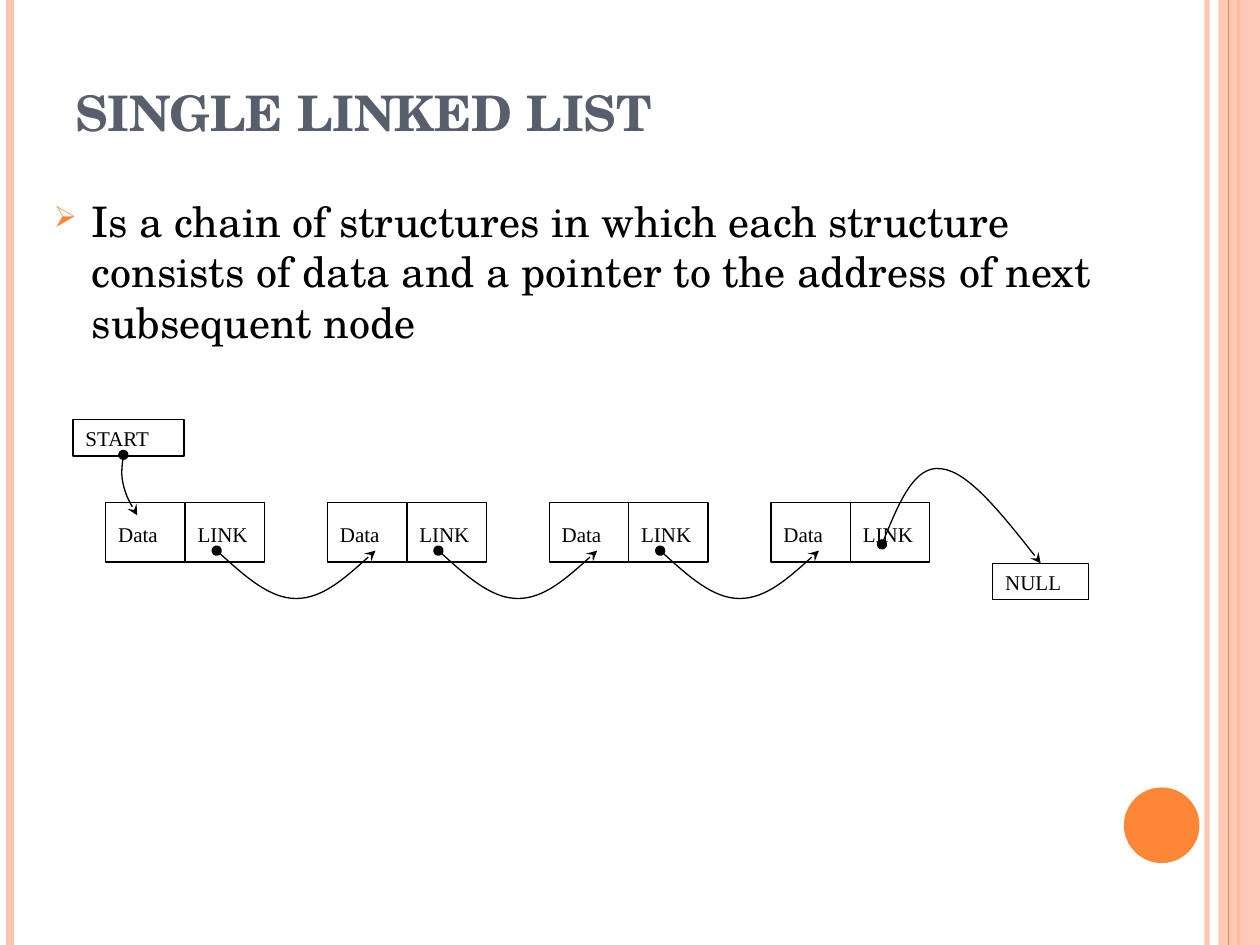
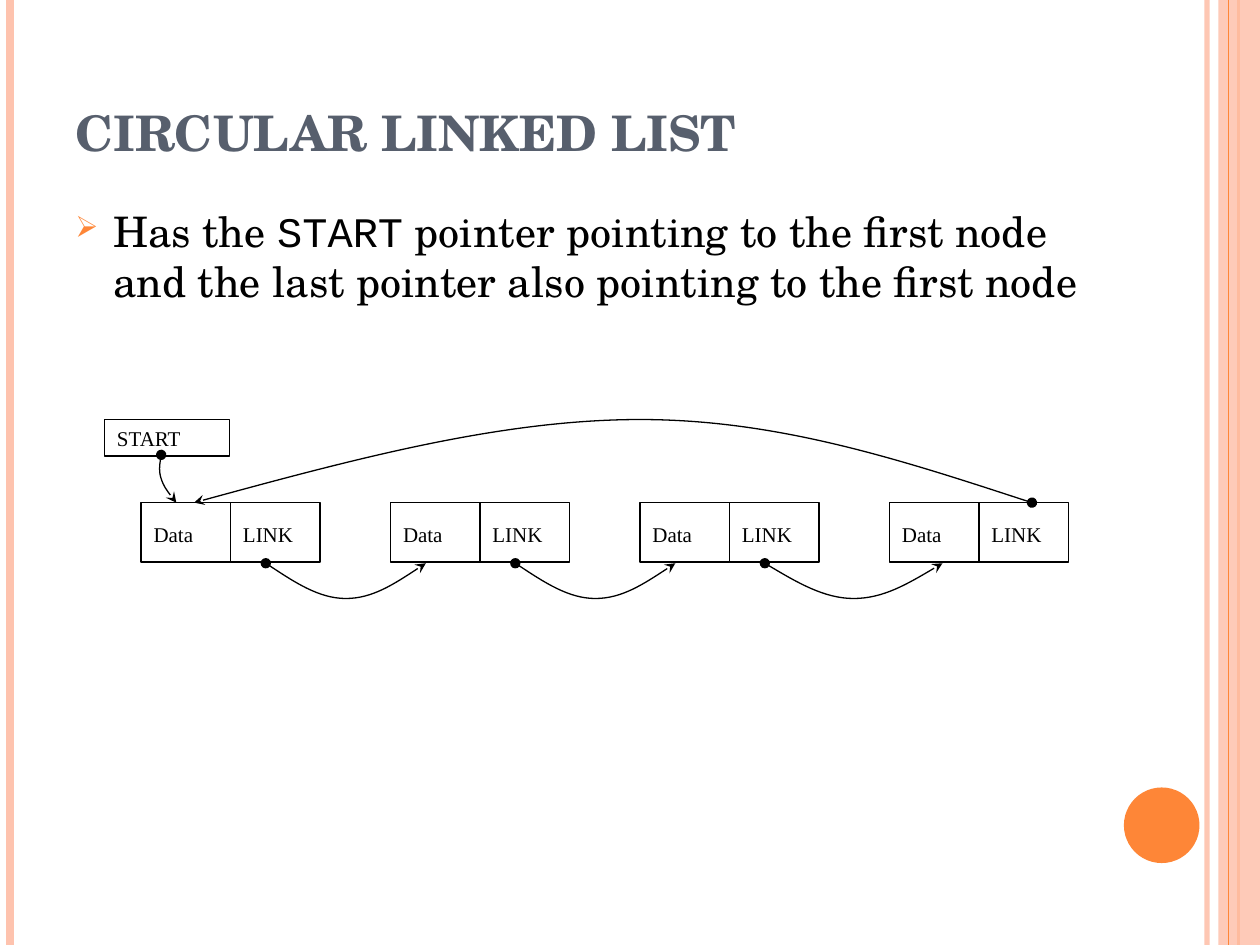
from lxml import etree
from pptx import Presentation
from pptx.dml.color import RGBColor
from pptx.enum.shapes import MSO_CONNECTOR, MSO_SHAPE
from pptx.enum.text import MSO_ANCHOR, PP_ALIGN
from pptx.oxml.ns import qn
from pptx.util import Inches, Pt

ORANGE = RGBColor(0xFE, 0x86, 0x37)
PEACH = RGBColor(0xFE, 0xC3, 0xAE)
SLATE = RGBColor(0x57, 0x5F, 0x6D)
BLACK = RGBColor(0, 0, 0)
WHITE = RGBColor(0xFF, 0xFF, 0xFF)
SERIF = "TeX Gyre Schola"
CODE = "Courier New"
LABEL = "Times New Roman"

# Boxes are left, top, width, height in inches; curves list a start point
# followed by three cubic Bézier points for each segment.
SLIDES = [
    {
        "title": "SINGLE LINKED LIST",
        "title_box": (0.5, 0.3, 8.17, 0.87),
        "body": [("Is a chain of structures in which each structure consists of data "
                  "and a pointer to the address of next subsequent node", SERIF)],
        "body_box": (0.33, 1.5, 8.83, 5.58),
        "first_left": 0.84, "cell_width": 0.63, "pitch": 1.76, "label_width": 0.76,
        "link_offset": 0.88, "link_top": 4.37, "link_spans": (1.26, 1.26, 1.26),
        "end_boxes": [("START", (0.58, 3.33, 0.88, 0.29)),
                      ("NULL", (7.88, 4.47, 0.76, 0.29))],
        "curves": [
            [(0.98, 3.61), (0.97, 3.69), (0.96, 3.77), (0.98, 3.85),
             (1, 3.93), (1.04, 4.01), (1.09, 4.09)],
            [(7, 4.32), (7.13, 4), (7.26, 3.69), (7.47, 3.72),
             (7.68, 3.74), (7.97, 4.1), (8.26, 4.47)],
        ],
    },
    {
        "title": "CIRCULAR LINKED LIST",
        "title_box": (0.5, 0.3, 8.17, 1.03),
        "body": [("Has the ", SERIF), ("START", CODE),
                 (" pointer pointing to the first node and the last pointer "
                  "also pointing to the first node", SERIF)],
        "body_box": (0.5, 1.58, 8.58, 5.5),
        "first_left": 1.12, "cell_width": 0.71, "pitch": 1.98, "label_width": 0.85,
        "link_offset": 0.99, "link_top": 4.47, "link_spans": (1.27, 1.27, 1.41),
        "end_boxes": [("START", (0.83, 3.33, 0.99, 0.29))],
        "curves": [
            [(1.28, 3.61), (1.27, 3.67), (1.26, 3.74), (1.28, 3.8),
             (1.3, 3.86), (1.35, 3.93), (1.4, 3.99)],
            [(8.19, 3.99), (7.18, 3.66), (6.18, 3.33), (5.08, 3.33),
             (3.97, 3.33), (2.75, 3.66), (1.54, 3.99)],
        ],
    },
]
NODE_COUNT = 4
CELL_LABELS = ("Data", "LINK")
CELL_TOP, CELL_HEIGHT = 3.99, 0.47
LABEL_TOP, LABEL_HEIGHT = 4.09, 0.29
LINK_BOTTOM = 4.75

# x, colour, width in points, opacity in percent
STRIPES_BELOW = [(9.58, PEACH, 3, 93), (0.08, PEACH, 4.5, 100), (9.83, ORANGE, 1.5, 100)]
STRIPES_ABOVE = [(9.75, ORANGE, 0.75, 100)]
BAND_BOX = (9.67, 0, 0.33, 7.5)
DISC_BOX = (8.92, 6.25, 0.6, 0.6)


def inches(values):
    return [Inches(value) for value in values]


def set_opacity(shape, percent):
    """Apply opacity to the first solid colour of the shape."""
    color = next(shape.element.spPr.iter(qn("a:srgbClr")))
    etree.SubElement(color, qn("a:alpha"), val=str(percent * 1000))


def add_stripe(slide, x, color, width, opacity):
    stripe = slide.shapes.add_connector(
        MSO_CONNECTOR.STRAIGHT, *inches((x, 0, x, 7.5)))
    stripe.line.color.rgb = color
    stripe.line.width = Pt(width)
    if opacity < 100:
        set_opacity(stripe, opacity)
    etree.SubElement(stripe.element.spPr, qn("a:effectLst"))


def add_block(slide, box, color, kind=MSO_SHAPE.RECTANGLE, outlined=False, opacity=100):
    block = slide.shapes.add_shape(kind, *inches(box))
    block.shadow.inherit = False
    block.fill.solid()
    block.fill.fore_color.rgb = color
    if opacity < 100:
        set_opacity(block, opacity)
    if outlined:
        block.line.color.rgb = BLACK
        block.line.width = Pt(0.75)
    else:
        block.line.fill.background()
    return block


def write(shape, runs, size, color, bold=False, anchor=MSO_ANCHOR.TOP):
    """Fill the shape with one paragraph of (text, font name) runs."""
    frame = shape.text_frame
    frame.word_wrap = True
    frame.vertical_anchor = anchor
    paragraph = frame.paragraphs[0]
    paragraph.alignment = PP_ALIGN.LEFT
    paragraph.font.size = Pt(size)
    paragraph.font.bold = bold
    paragraph.font.color.rgb = color
    for text, font_name in runs:
        run = paragraph.add_run()
        run.text = text
        run.font.name = font_name
    return paragraph


def add_text(slide, box, *args, **options):
    return write(slide.shapes.add_textbox(*inches(box)), *args, **options)


def add_bullet(paragraph):
    paragraph.space_before = Pt(6)
    properties = paragraph._p.get_or_add_pPr()
    properties.set("marL", str(Inches(0.3)))
    properties.set("indent", str(-Inches(0.3)))
    markup = [etree.Element(qn("a:buClr")),
              etree.Element(qn("a:buSzPct"), val="70000"),
              etree.Element(qn("a:buChar"), char="➢")]
    etree.SubElement(markup[0], qn("a:srgbClr"), val=str(ORANGE))
    properties.find(qn("a:spcBef")).addnext(markup[0])
    markup[0].addnext(markup[1])
    markup[1].addnext(markup[2])


def add_curve(slide, points):
    """Draw a Bézier arrow: a dot at its start, a stealth head at its end."""
    start, *others = [inches(point) for point in points]
    builder = slide.shapes.build_freeform(*start)
    builder.add_line_segments(others, close=False)
    curve = builder.convert_to_shape()
    segments = list(curve.element.iter(qn("a:lnTo")))
    for first in range(0, len(segments), 3):
        bezier = etree.Element(qn("a:cubicBezTo"))
        segments[first].addprevious(bezier)
        for segment in segments[first:first + 3]:
            bezier.append(segment[0])
            segment.getparent().remove(segment)
    curve.shadow.inherit = False
    curve.fill.background()
    curve.line.color.rgb = BLACK
    curve.line.width = Pt(0.75)
    line = curve.line._get_or_add_ln()
    etree.SubElement(line, qn("a:headEnd"), type="oval")
    etree.SubElement(line, qn("a:tailEnd"), type="stealth")


def link_points(left, top, span):
    """Points of a symmetric arc hanging below two nodes."""
    middle = (top + LINK_BOTTOM) / 2
    heights = (top, middle, LINK_BOTTOM, LINK_BOTTOM, LINK_BOTTOM, middle, top)
    return [(left + span * step / 6, y) for step, y in enumerate(heights)]


def add_frame(slide):
    for stripe in STRIPES_BELOW:
        add_stripe(slide, *stripe)
    add_block(slide, BAND_BOX, PEACH, opacity=87)
    for stripe in STRIPES_ABOVE:
        add_stripe(slide, *stripe)
    add_block(slide, DISC_BOX, ORANGE, MSO_SHAPE.OVAL)


def add_diagram(slide, content):
    width = content["cell_width"]
    node_lefts = [content["first_left"] + node * content["pitch"]
                  for node in range(NODE_COUNT)]
    cells = [(left + column * width, label)
             for left in node_lefts for column, label in enumerate(CELL_LABELS)]
    for left, _ in cells:
        add_block(slide, (left, CELL_TOP, width, CELL_HEIGHT), WHITE, outlined=True)
    for left, label in cells:
        add_text(slide, (left, LABEL_TOP, content["label_width"], LABEL_HEIGHT),
                 [(label, LABEL)], 12, BLACK)
    for left, span in zip(node_lefts, content["link_spans"]):
        add_curve(slide, link_points(left + content["link_offset"],
                                     content["link_top"], span))
    for label, box in content["end_boxes"]:
        block = add_block(slide, box, WHITE, outlined=True, opacity=50)
        write(block, [(label, LABEL)], 12, BLACK)
    for points in content["curves"]:
        add_curve(slide, points)


def main():
    presentation = Presentation()
    presentation.slide_width = Inches(10)
    presentation.slide_height = Inches(7.5)
    for content in SLIDES:
        slide = presentation.slides.add_slide(presentation.slide_layouts[6])
        add_frame(slide)
        add_text(slide, content["title_box"], [(content["title"], SERIF)], 28, SLATE,
                 bold=True, anchor=MSO_ANCHOR.BOTTOM)
        add_bullet(add_text(slide, content["body_box"], content["body"], 24, BLACK))
        add_diagram(slide, content)
    presentation.save("out.pptx")


if __name__ == "__main__":
    main()
